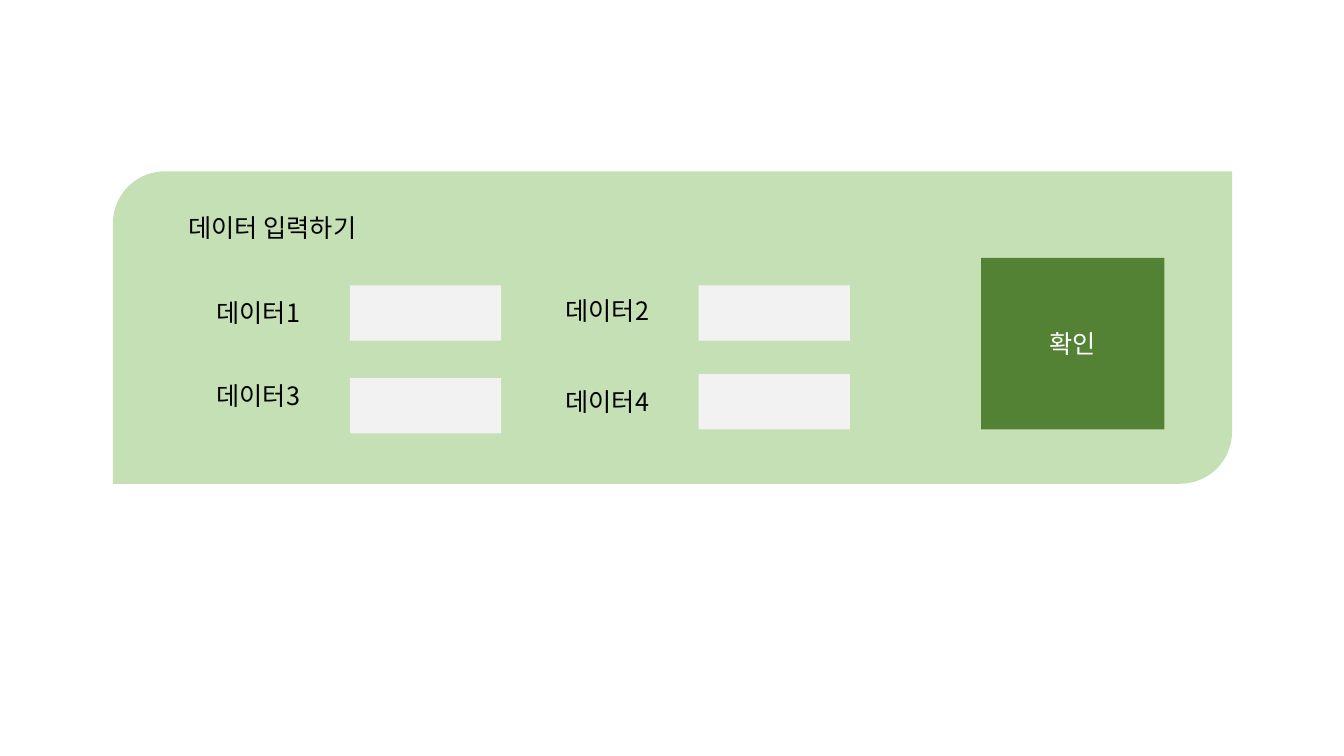
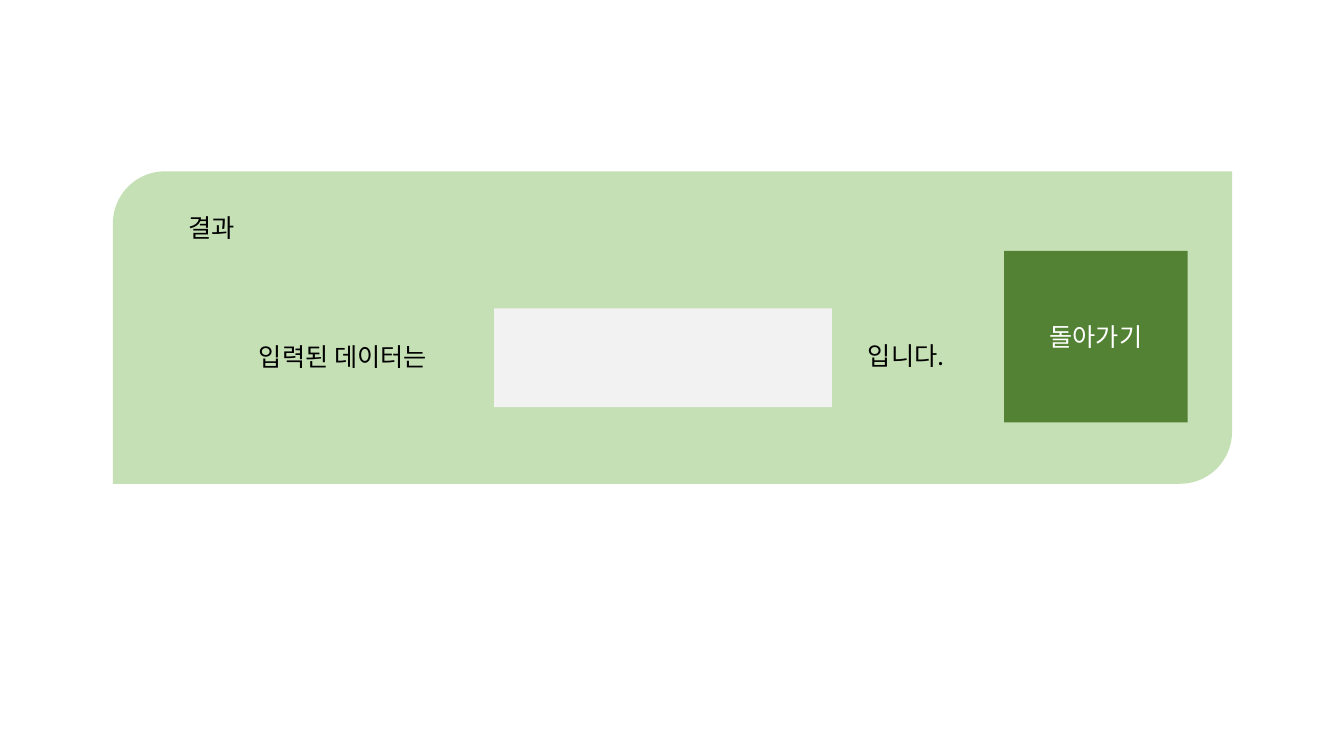
from lxml.etree import SubElement
from pptx import Presentation
from pptx.dml.color import RGBColor
from pptx.enum.shapes import MSO_SHAPE
from pptx.enum.text import MSO_ANCHOR, MSO_AUTO_SIZE, PP_ALIGN
from pptx.oxml.ns import qn
from pptx.util import Inches, Pt

PANEL_GREEN = RGBColor(0xC5, 0xE0, 0xB4)
BUTTON_GREEN = RGBColor(0x54, 0x82, 0x35)
FIELD_GRAY = RGBColor(0xF2, 0xF2, 0xF2)
BLACK = RGBColor(0, 0, 0)
WHITE = RGBColor(0xFF, 0xFF, 0xFF)
FONT = "Noto Sans CJK KR"

PANEL = (1.12, 1.7, 11.1, 3.1)
TITLE = (1.77, 2.06, 2.49)
BUTTON_SIZE = (1.82, 1.7)
LABEL_LEFT, LABEL_WIDTH, LABEL_HEIGHT = 2.05, 1.29, 0.4
FIELD_LEFT, FIELD_SIZE = 3.47, (1.5, 0.55)
COLUMN_STEP = 3.46

INPUTS = [
    ("데이터1", 0, 2.9, 2.83),
    ("데이터3", 0, 3.72, 3.75),
    ("데이터2", 1, 2.88, 2.83),
    ("데이터4", 1, 3.78, 3.71),
]

SCREENS = [
    {
        "title": "데이터 입력하기",
        "labels": [
            (text, LABEL_LEFT + column * COLUMN_STEP, label_top, LABEL_WIDTH)
            for text, column, label_top, field_top in INPUTS
        ],
        "fields": [
            (FIELD_LEFT + column * COLUMN_STEP, field_top, *FIELD_SIZE)
            for text, column, label_top, field_top in INPUTS
        ],
        "button": ("확인", 9.73, 2.56),
    },
    {
        "title": "결과",
        "labels": [("입력된 데이터는", 2.47, 3.34, 2.06), ("입니다.", 8.51, 3.33, 1.3)],
        "fields": [(4.9, 3.06, 3.35, 0.98)],
        "button": ("돌아가기", 9.96, 2.49),
    },
]


def write(frame, text, color=BLACK, align=PP_ALIGN.LEFT, anchor=MSO_ANCHOR.TOP):
    frame.word_wrap = True
    frame.vertical_anchor = anchor
    paragraph = frame.paragraphs[0]
    paragraph.alignment = align
    run = paragraph.add_run()
    run.text = text
    run.font.size = Pt(18)
    run.font.color.rgb = color
    run.font.name = FONT
    SubElement(run.font._element, qn("a:ea"), typeface=FONT)


def add_block(slide, box, fill, preset=MSO_SHAPE.RECTANGLE):
    block = slide.shapes.add_shape(preset, *map(Inches, box))
    block.shadow.inherit = False
    block.fill.solid()
    block.fill.fore_color.rgb = fill
    block.line.fill.background()
    return block


def add_label(slide, text, left, top, width):
    label = slide.shapes.add_textbox(*map(Inches, (left, top, width, LABEL_HEIGHT)))
    write(label.text_frame, text)
    label.text_frame.auto_size = MSO_AUTO_SIZE.SHAPE_TO_FIT_TEXT


def add_screen(deck, screen):
    slide = deck.slides.add_slide(deck.slide_layouts[6])
    add_block(slide, PANEL, PANEL_GREEN, MSO_SHAPE.ROUND_2_DIAG_RECTANGLE)
    for field in screen["fields"]:
        add_block(slide, field, FIELD_GRAY)
    add_label(slide, screen["title"], *TITLE)
    for label in screen["labels"]:
        add_label(slide, *label)
    text, left, top = screen["button"]
    button = add_block(slide, (left, top, *BUTTON_SIZE), BUTTON_GREEN)
    write(button.text_frame, text, color=WHITE, align=PP_ALIGN.CENTER, anchor=MSO_ANCHOR.MIDDLE)


def main():
    deck = Presentation()
    deck.slide_width, deck.slide_height = Inches(13.33), Inches(7.5)
    for screen in SCREENS:
        add_screen(deck, screen)
    deck.save("out.pptx")


if __name__ == "__main__":
    main()
